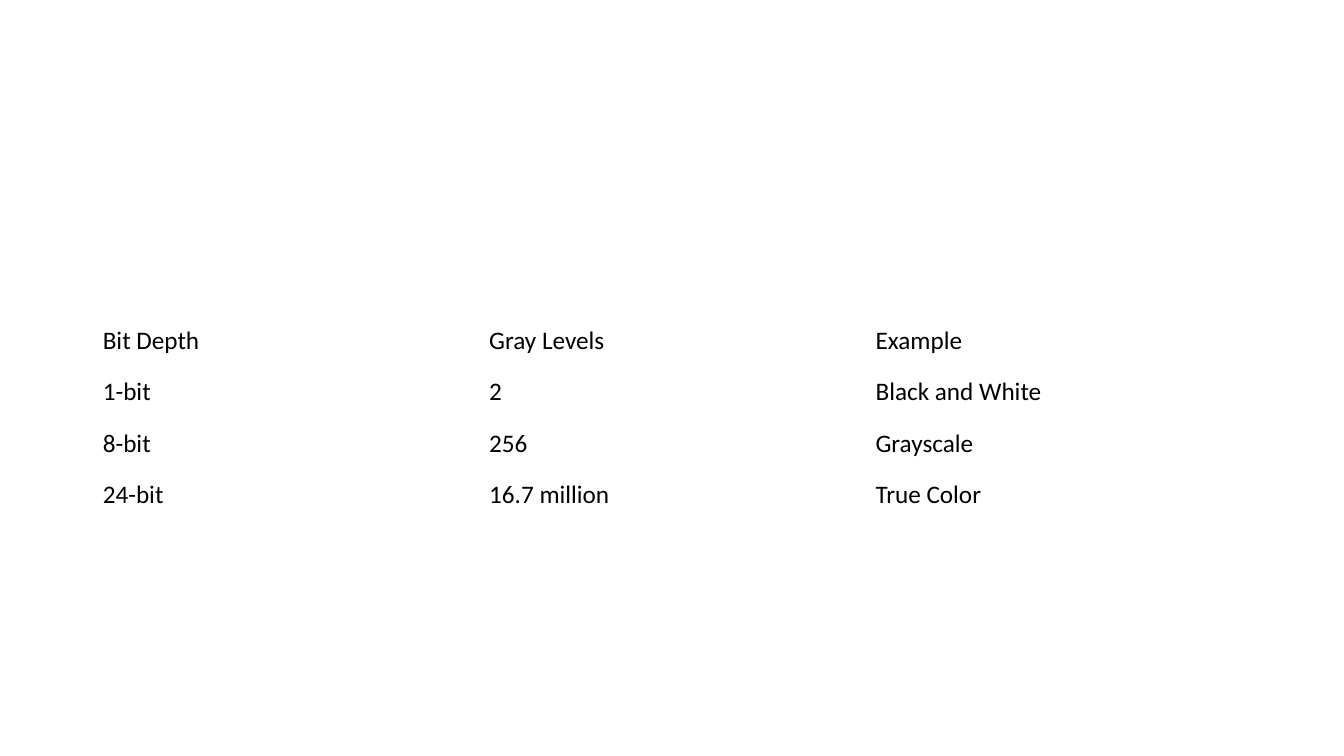
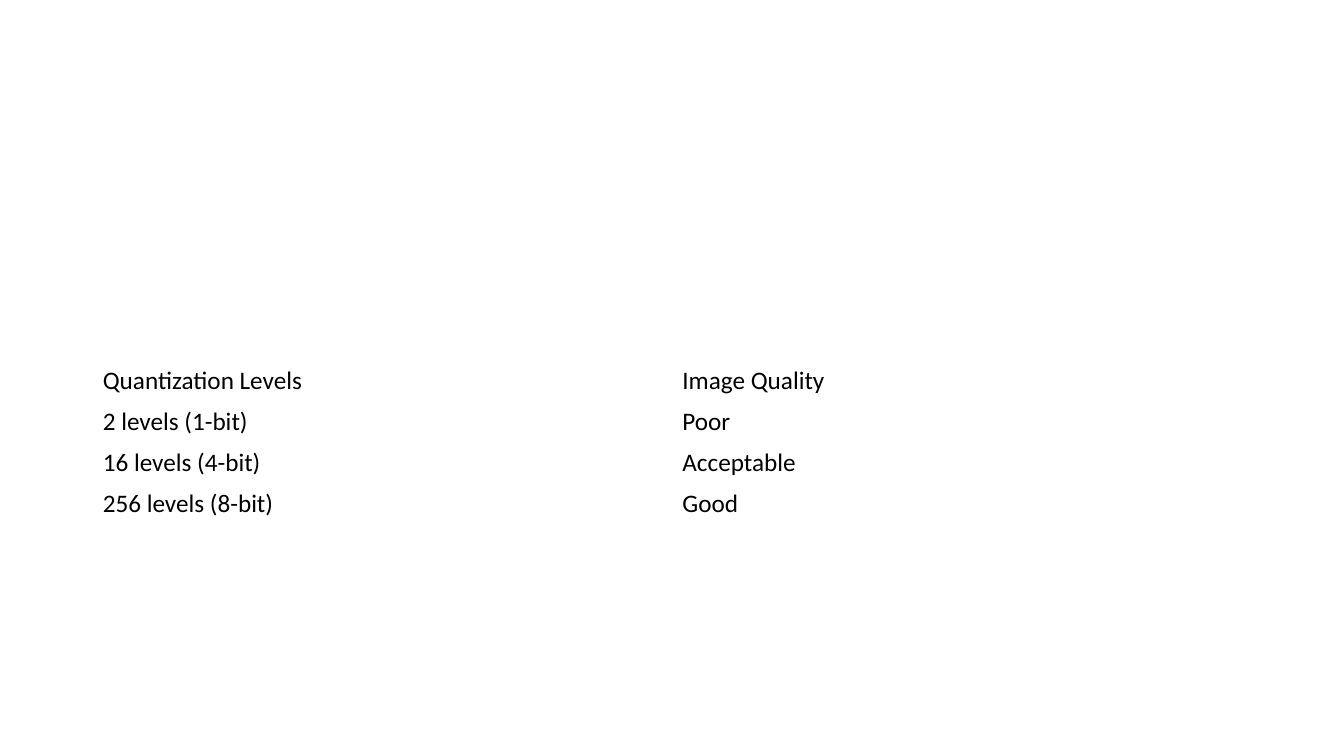
from pptx import Presentation
from pptx import util as u
from pptx.dml.color import RGBColor
from pptx.enum import text

COLORS = {"page": "FFFFFF", "ink": "000000"}
FONT = "Calibri"
SIZE = u.Pt(18)
BLANK_LAYOUT = 6
LEFT, WIDTH = 6.9, 86.25

BIT_DEPTHS = [
    ("Bit Depth", "Gray Levels", "Example"),
    ("1-bit", "2", "Black and White"),
    ("8-bit", "256", "Grayscale"),
    ("24-bit", "16.7 million", "True Color"),
]
QUALITY = [
    ("Quantization Levels", "Image Quality"),
    ("2 levels (1-bit)", "Poor"),
    ("16 levels (4-bit)", "Acceptable"),
    ("256 levels (8-bit)", "Good"),
]


def color(name):
    return RGBColor.from_string(COLORS[name])


def percent(share, length):
    return round(length * share / 100)


def fill_cell(cell, words):
    cell.fill.background()
    cell.vertical_anchor = text.MSO_ANCHOR.MIDDLE
    span = cell.text_frame.paragraphs[0].add_run()
    span.text = words
    span.font.name = FONT
    span.font.size = SIZE
    span.font.bold = False
    span.font.color.rgb = color("ink")


def add_plain_table(page, rows, left, top, width, row_height):
    frame = page.shapes.add_table(
        len(rows), len(rows[0]), left, top, width, row_height * len(rows))
    table = frame.table
    table.first_row = False
    table.horz_banding = False
    for row, entries in zip(table.rows, rows):
        row.height = row_height
        for cell, words in zip(row.cells, entries):
            fill_cell(cell, words)


def add_table_page(deck, rows, top, row_height):
    page = deck.slides.add_slide(deck.slide_layouts[BLANK_LAYOUT])
    page.background.fill.solid()
    page.background.fill.fore_color.rgb = color("page")
    add_plain_table(
        page, rows,
        percent(LEFT, deck.slide_width), percent(top, deck.slide_height),
        percent(WIDTH, deck.slide_width), percent(row_height, deck.slide_height))


def main():
    deck = Presentation()
    deck.slide_width = u.Inches(13.33)
    deck.slide_height = u.Inches(7.5)
    add_table_page(deck, BIT_DEPTHS, top=41.7, row_height=6.8)
    add_table_page(deck, QUALITY, top=47.7, row_height=5.4)
    deck.save("out.pptx")


if __name__ == "__main__":
    main()
